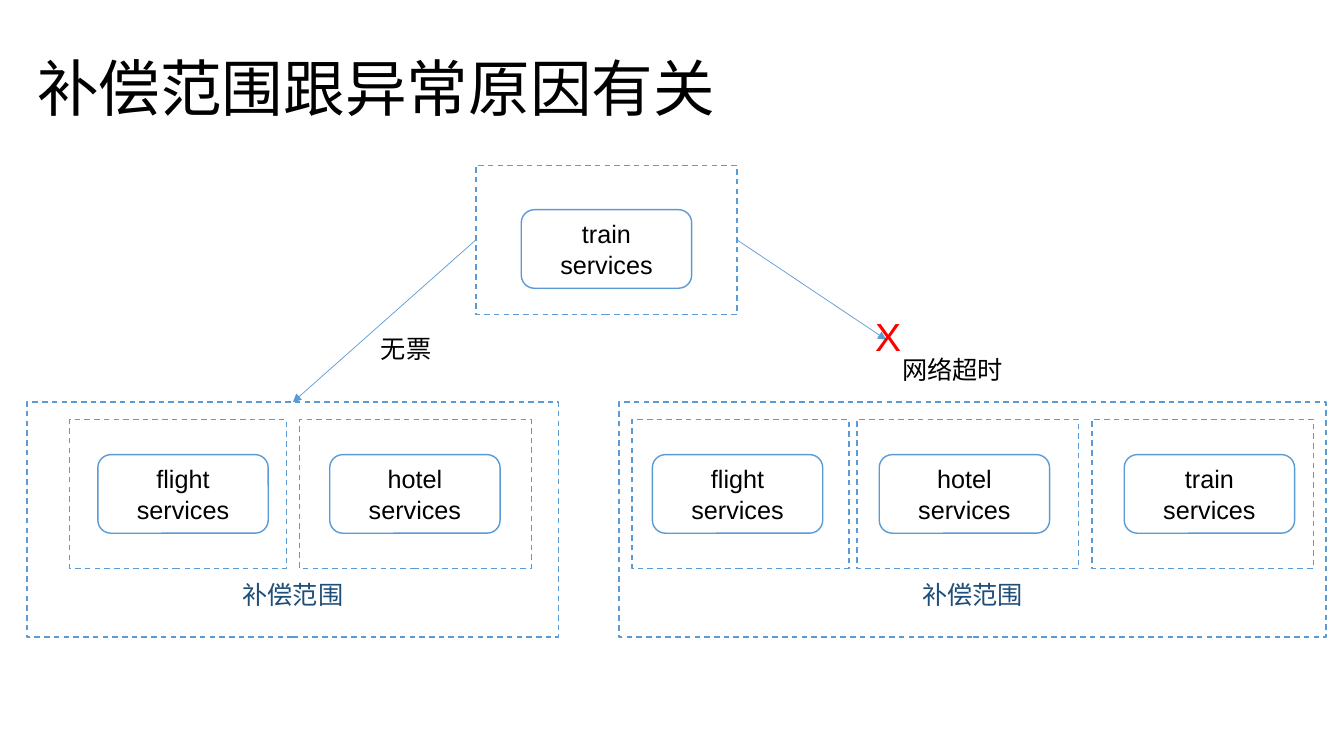
from lxml import etree
from pptx import Presentation
from pptx.dml.color import RGBColor
from pptx.enum.dml import MSO_LINE
from pptx.enum.shapes import MSO_CONNECTOR, MSO_SHAPE
from pptx.enum.text import MSO_ANCHOR, MSO_AUTO_SIZE, PP_ALIGN
from pptx.oxml.ns import qn
from pptx.util import Inches, Pt

RECTANGLE = MSO_SHAPE.RECTANGLE
ROUNDED = MSO_SHAPE.ROUNDED_RECTANGLE
STRAIGHT = MSO_CONNECTOR.STRAIGHT
DASH = MSO_LINE.DASH
MIDDLE = MSO_ANCHOR.MIDDLE
BOTTOM = MSO_ANCHOR.BOTTOM
CENTER = PP_ALIGN.CENTER
FIT_SHAPE = MSO_AUTO_SIZE.SHAPE_TO_FIT_TEXT
TOP, LEFT, RIGHT = 0, 1, 3

COLORS = {
    "black": "000000",
    "white": "FFFFFF",
    "blue": "5B9BD5",
    "navy": "1F4E79",
    "red": "FF0000",
}
SCOPE_TOP, SCOPE_HEIGHT = 3.99, 2.33
FRAME_TOP, FRAME_HEIGHT = 4.16, 1.48
SERVICE_TOP = 4.51
SERVICE_WIDTH, SERVICE_HEIGHT = 1.69, 0.78
SCOPES = [
    (0.27, 5.27, [("flight", 0.69, 2.15, 0.97), ("hotel", 2.97, 2.3, 3.27)]),
    (6.14, 7.01, [("flight", 6.27, 2.15, 6.47), ("hotel", 8.5, 2.2, 8.72),
                  ("train", 10.83, 2.2, 11.15)]),
]


def color(name):
    return RGBColor.from_string(COLORS[name])


def set_all(target, values):
    for name, value in values.items():
        setattr(target, name, value)


def write(shape, lines, size=18, ink="black", font="Arial", frame=None, paragraph=None):
    set_all(shape.text_frame, frame or {})
    shape.text_frame.text = "\n".join(lines)
    for para in shape.text_frame.paragraphs:
        set_all(para, paragraph or {})
        span = para.runs[0]
        set_all(span.font, {"name": font, "size": Pt(size)})
        span.font.color.rgb = color(ink)


def add_box(page, kind, left, top, width, height, dash=None):
    box = page.shapes.add_shape(
        kind, Inches(left), Inches(top), Inches(width), Inches(height))
    box.shadow.inherit = False
    box.fill.solid()
    box.fill.fore_color.rgb = color("white")
    box.line.color.rgb = color("blue")
    set_all(box.line, {"width": Pt(1), "dash_style": dash})
    return box


def add_service(page, name, left, top):
    box = add_box(page, ROUNDED, left, top, SERVICE_WIDTH, SERVICE_HEIGHT)
    write(box, [name, "services"],
          frame={"vertical_anchor": MIDDLE, "word_wrap": True},
          paragraph={"alignment": CENTER})


def add_scope(page, left, width, services):
    scope = add_box(page, RECTANGLE, left, SCOPE_TOP, width, SCOPE_HEIGHT, DASH)
    write(scope, ["补偿范围"], ink="navy",
          frame={"vertical_anchor": BOTTOM, "margin_bottom": Inches(0.27)},
          paragraph={"alignment": CENTER})
    for name, frame_left, frame_width, service_left in services:
        add_box(page, RECTANGLE, frame_left, FRAME_TOP, frame_width, FRAME_HEIGHT, DASH)
        add_service(page, name, service_left, SERVICE_TOP)
    return scope


def add_arrow(page, source, side, end_x, end_y):
    arrow = page.shapes.add_connector(STRAIGHT, 0, 0, Inches(end_x), Inches(end_y))
    arrow.begin_connect(source, side)
    arrow.line.color.rgb = color("blue")
    arrow.line.width = Pt(0.5)
    etree.SubElement(arrow.line._get_or_add_ln(), qn("a:tailEnd"), type="triangle")
    etree.SubElement(arrow._element.spPr, qn("a:effectLst"))
    return arrow


def add_label(page, text, left, top, width, height, frame, **style):
    label = page.shapes.add_textbox(
        Inches(left), Inches(top), Inches(width), Inches(height))
    write(label, [text], frame=frame, **style)


def main():
    deck = Presentation()
    set_all(deck, {"slide_width": Inches(13.33), "slide_height": Inches(7.5)})
    page = deck.slides.add_slide(deck.slide_layouts[6])

    add_label(page, "补偿范围跟异常原因有关", 0.27, 0.53, 8.41, 0.76,
              {"vertical_anchor": MIDDLE, "word_wrap": True},
              size=44, font="Montserrat", paragraph={"line_spacing": 0.9})

    failed = add_box(page, RECTANGLE, 4.72, 1.64, 2.59, FRAME_HEIGHT, DASH)
    add_service(page, "train", 5.17, 2.08)
    no_ticket_scope, _ = [add_scope(page, *scope) for scope in SCOPES]

    add_arrow(page, failed, RIGHT, 8.79, 3.37)
    add_arrow(page, failed, LEFT, 2.91, SCOPE_TOP).end_connect(no_ticket_scope, TOP)

    add_label(page, "X", 8.58, 3.05, 0.55, 0.57,
              {"word_wrap": True, "auto_size": FIT_SHAPE}, size=28, ink="red")
    unwrapped = {"word_wrap": False, "auto_size": FIT_SHAPE}
    add_label(page, "网络超时", 8.85, 3.47, 1.21, 0.4, unwrapped)
    add_label(page, "无票", 3.68, 3.26, 0.71, 0.4, unwrapped)

    deck.save("out.pptx")


if __name__ == "__main__":
    main()
